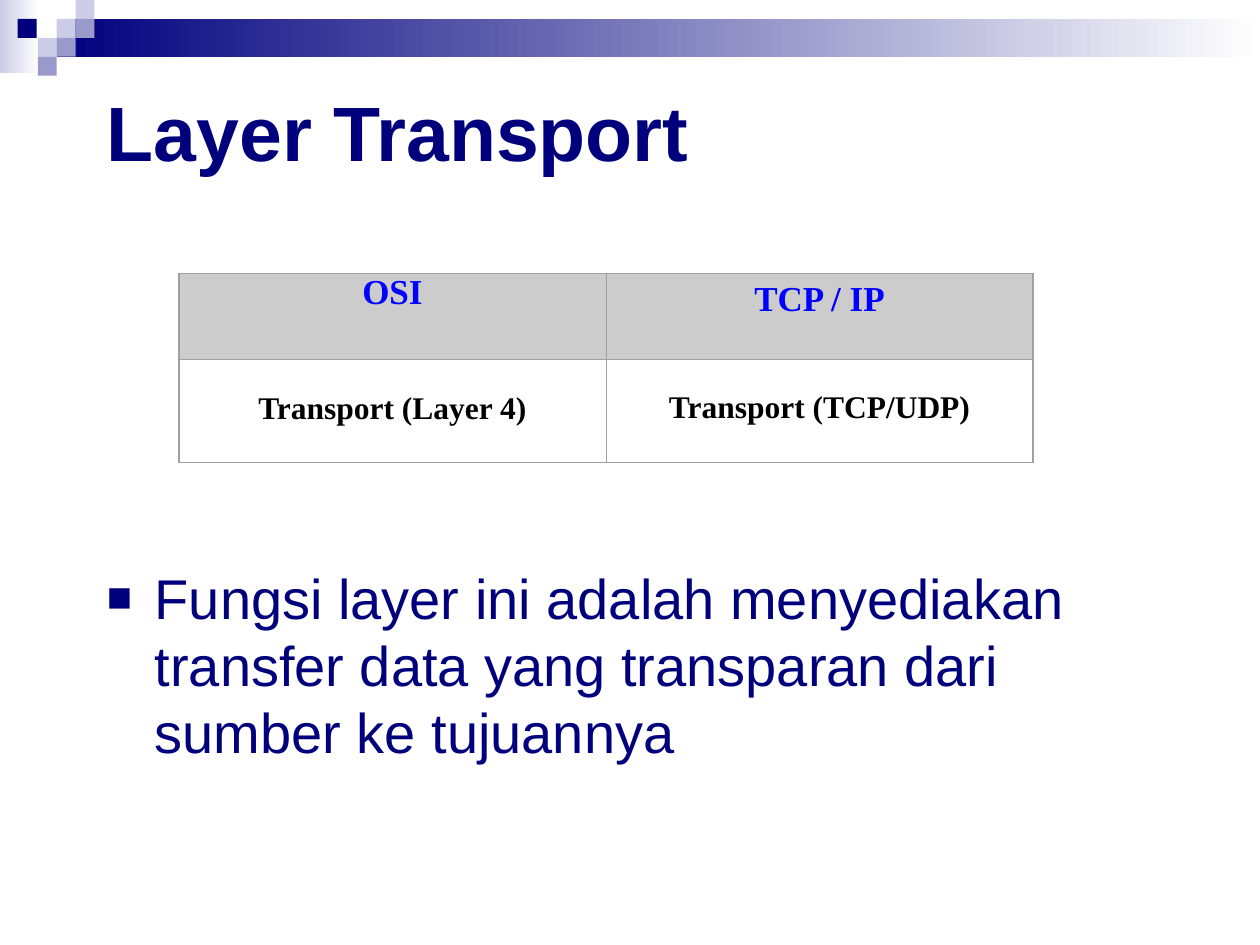
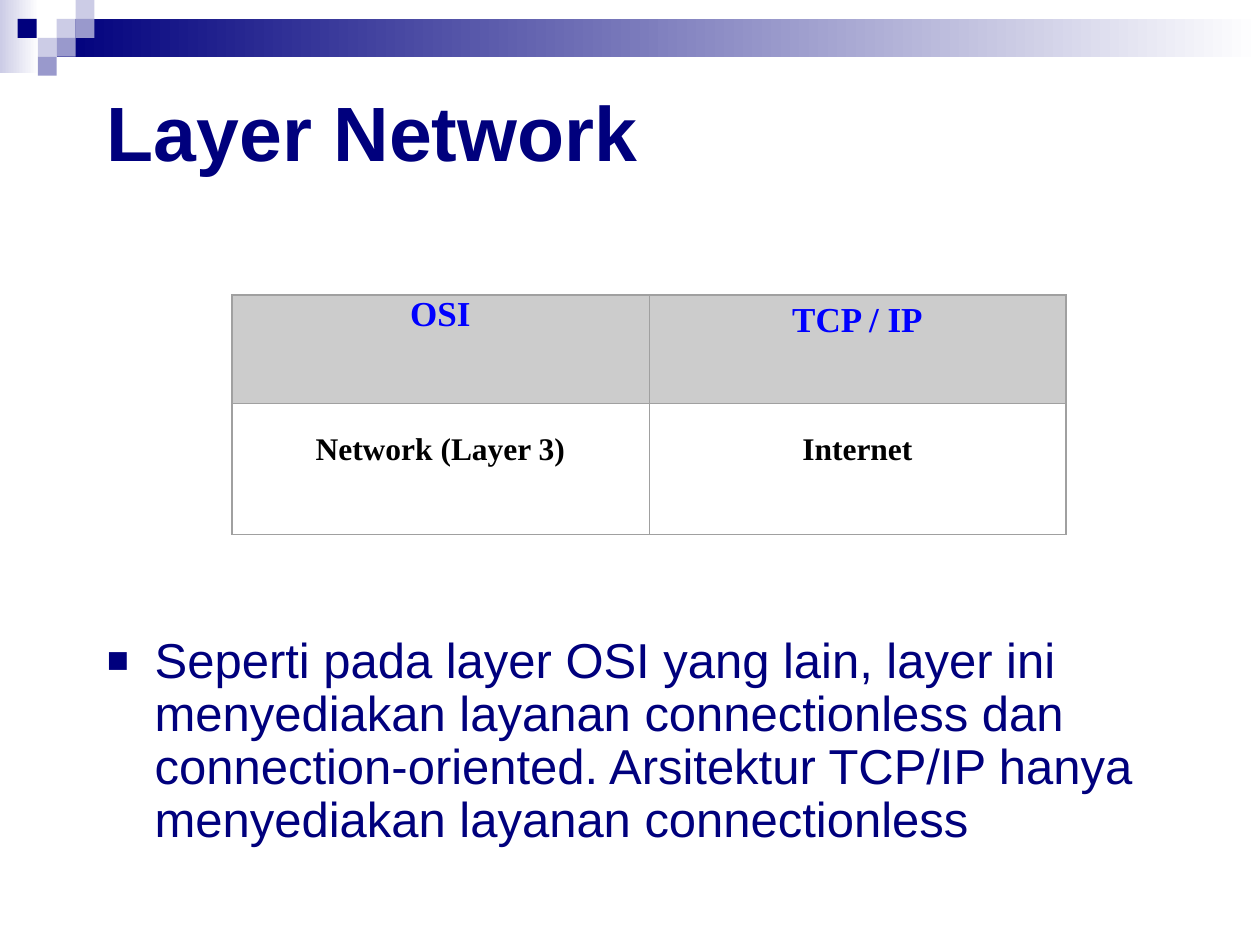
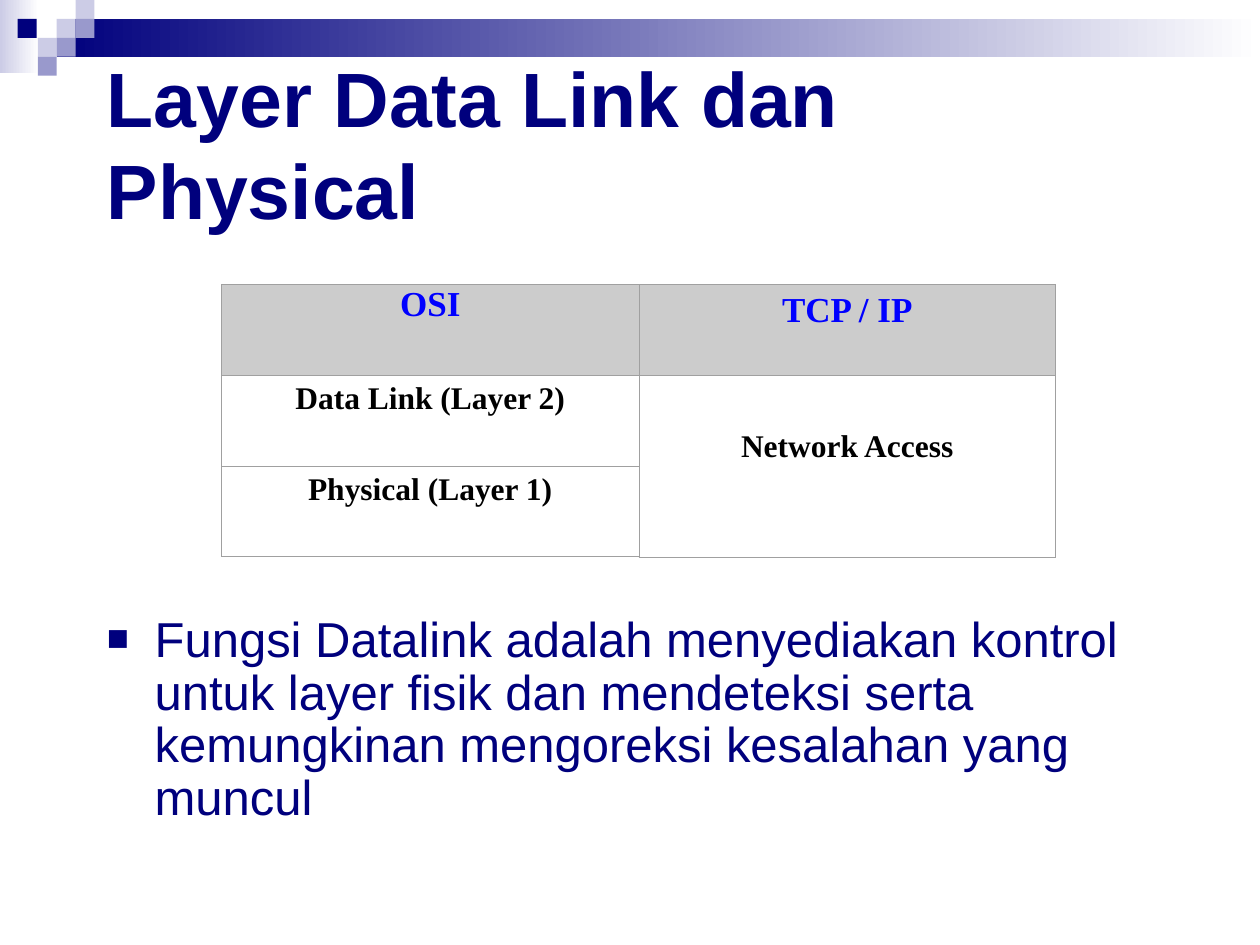
from lxml import etree
from pptx import Presentation
from pptx.dml.color import RGBColor
from pptx.enum import shapes, text
from pptx.oxml.ns import qn
from pptx.util import Inches, Pt

NAVY, LILAC, VIOLET, WHITE = "00007D", "CCCCE6", "9999CC", "FFFFFF"
HEADER_FILL, HEADER_TEXT, BODY_TEXT, BORDER = "CCCCCC", "0000FF", "000000", "A0A0A0"
OUTER, INNER = 0.87, 0.25
UNIT = 0.15

# left, top, width, height, start colour; each band fades to white
BANDS = [(0, 0, 0.31, 0.58, LILAC), (0.45, 0.15, 9.55, 0.3, NAVY)]
# left, top, colour
SQUARES = [
    (0.45, 0.15, LILAC), (0.6, 0, LILAC), (0.6, 0.15, VIOLET),
    (0.3, 0.3, LILAC), (0.14, 0.15, NAVY), (0.45, 0.3, VIOLET),
    (0.3, 0.45, VIOLET),
]

HEADER = [("OSI", 0), ("TCP / IP", 0.05)]
# Each table cell is its text and the space above it
SLIDES = [
    dict(title="Layer Transport", title_top=0.33,
         table_at=(1.42, 2.17), col_width=3.39, row_heights=[0.68, 0.82],
         rows=[HEADER,
               [("Transport (Layer 4)", 0.26), ("Transport (TCP/UDP)", 0.25)]],
         body="Fungsi layer ini adalah menyediakan transfer data yang "
              "transparan dari sumber ke tujuannya",
         body_top=4.42, body_height=2.25, body_size=32, spacing=1.0),
    dict(title="Layer Network", title_top=0.33,
         table_at=(1.84, 2.34), col_width=3.31, row_heights=[0.86, 1.04],
         rows=[HEADER, [("Network (Layer 3)", 0.23), ("Internet", 0.23)]],
         body="Seperti pada layer OSI yang lain, layer ini menyediakan "
              "layanan connectionless dan connection-oriented. Arsitektur "
              "TCP/IP hanya menyediakan layanan connectionless",
         body_top=5, body_height=1.92, body_size=28, spacing=0.9),
    dict(title="Layer Data Link dan Physical", title_top=0.42,
         table_at=(1.76, 2.26), col_width=3.31, row_heights=[0.72] * 3,
         rows=[HEADER,
               [("Data Link (Layer 2)", 0.05), ("Network Access", 0.43)],
               [("Physical (Layer 1)", 0.05), None]],
         body="Fungsi Datalink adalah menyediakan kontrol untuk layer fisik "
              "dan mendeteksi serta kemungkinan mengoreksi kesalahan yang "
              "muncul",
         body_top=4.83, body_height=1.83, body_size=28, spacing=0.9),
]


def rgb(value):
    return RGBColor.from_string(value)


def add_run(p, content, size, font, color, bold=False):
    r = p.add_run()
    r.text = content
    r.font.size = Pt(size)
    r.font.name = font
    r.font.bold = bold
    r.font.color.rgb = rgb(color)


prs = Presentation()
prs.slide_width, prs.slide_height = Inches(10), Inches(7.5)

for data in SLIDES:
    s = prs.slides.add_slide(prs.slide_layouts[6])

    # Corner decoration
    squares = [(x, y, UNIT, UNIT, color) for x, y, color in SQUARES]
    for i, (x, y, w, h, color) in enumerate(BANDS + squares):
        sp = s.shapes.add_shape(shapes.MSO_SHAPE.RECTANGLE,
                                Inches(x), Inches(y), Inches(w), Inches(h))
        sp.shadow.inherit = False
        sp.line.fill.background()
        if i < len(BANDS):
            sp.fill.gradient()
            sp.fill.gradient_angle = 0
            for stop, stop_color in zip(sp.fill.gradient_stops, (color, WHITE)):
                stop.color.rgb = rgb(stop_color)
        else:
            sp.fill.solid()
            sp.fill.fore_color.rgb = rgb(color)

    # Title
    tf = s.shapes.add_textbox(Inches(0.75), Inches(data["title_top"]),
                              Inches(8.5), Inches(1.42)).text_frame
    tf.word_wrap = True
    tf.vertical_anchor = text.MSO_ANCHOR.MIDDLE
    add_run(tf.paragraphs[0], data["title"], 44, "Arial", NAVY, bold=True)

    # Bulleted body
    tf = s.shapes.add_textbox(Inches(0.75), Inches(data["body_top"]),
                              Inches(8.5), Inches(data["body_height"])).text_frame
    tf.word_wrap = True
    p = tf.paragraphs[0]
    p.line_spacing = data["spacing"]
    pPr = p._p.get_or_add_pPr()
    pPr.set("marL", str(Inches(0.38)))
    pPr.set("indent", str(-Inches(0.38)))
    bullet_color = etree.SubElement(pPr, qn("a:buClr"))
    etree.SubElement(bullet_color, qn("a:srgbClr"), val=NAVY)
    etree.SubElement(pPr, qn("a:buSzPct"), val="75000")
    etree.SubElement(pPr, qn("a:buFont"), typeface="Arial")
    etree.SubElement(pPr, qn("a:buChar"), char="■")
    add_run(p, data["body"], data["body_size"], "Arial", NAVY)

    # Layer comparison table
    rows, heights = data["rows"], data["row_heights"]
    left, top = data["table_at"]
    table = s.shapes.add_table(len(rows), 2, Inches(left), Inches(top),
                               Inches(2 * data["col_width"]),
                               Inches(sum(heights))).table
    table.first_row = table.horz_banding = False
    for column in table.columns:
        column.width = Inches(data["col_width"])
    for row, height in zip(table.rows, heights):
        row.height = Inches(height)

    for i, row in enumerate(rows):
        for j, content in enumerate(row):
            cell = table.cell(i, j)
            cell.fill.solid()
            cell.fill.fore_color.rgb = rgb(WHITE if i else HEADER_FILL)
            cell.margin_top = cell.margin_bottom = 0

            on_edge = {"a:lnL": j == 0, "a:lnR": j == 1,
                       "a:lnT": i == 0, "a:lnB": i == len(rows) - 1}
            tcPr = cell._tc.get_or_add_tcPr()
            for k, (side, outer) in enumerate(on_edge.items()):
                ln = etree.Element(qn(side), w=str(Pt(OUTER if outer else INNER)))
                fill = etree.SubElement(ln, qn("a:solidFill"))
                etree.SubElement(fill, qn("a:srgbClr"), val=BORDER)
                tcPr.insert(k, ln)

            if content is None:
                table.cell(i - 1, j).merge(cell)
                continue
            label, space_above = content
            cell.margin_top = Inches(space_above)
            p = cell.text_frame.paragraphs[0]
            p.alignment = text.PP_ALIGN.CENTER
            add_run(p, label, 18 if i else 20, "Times New Roman",
                    BODY_TEXT if i else HEADER_TEXT, bold=True)

prs.save("out.pptx")
